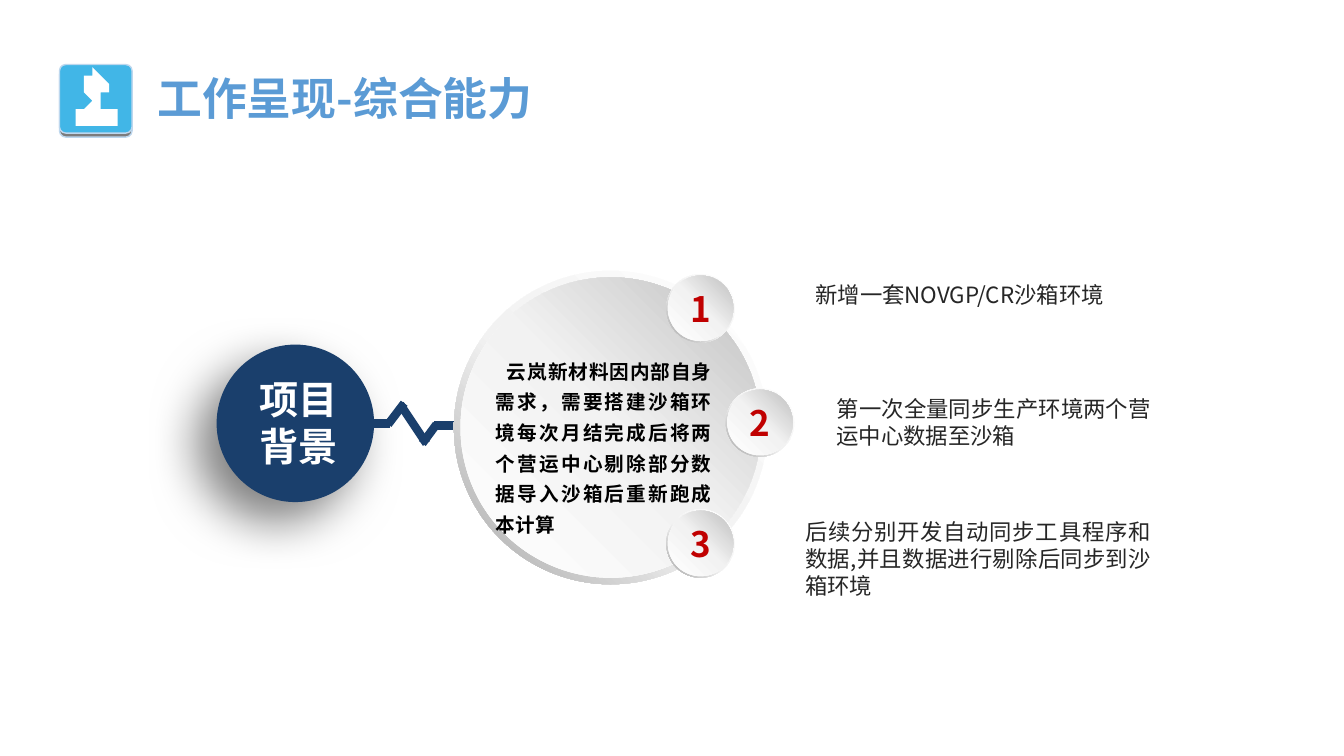
from pptx import Presentation
from pptx.dml.color import RGBColor
from pptx.enum.shapes import MSO_CONNECTOR, MSO_SHAPE
from pptx.enum.text import MSO_ANCHOR, MSO_AUTO_SIZE, PP_ALIGN
from pptx.oxml import parse_xml
from pptx.oxml.ns import nsdecls, qn
from pptx.util import Inches, Pt

COLORS = {
    "navy": "1A3F6C", "title": "5B9BD5", "number": "C00000", "note": "262626",
    "black": "000000", "white": "FFFFFF", "light": "F2F2F2", "rim": "A6A6A6",
    "face": "BFBFBF", "icon": "41B6E7", "icon_edge": "7C7C7C", "icon_line": "BDD7EE",
}
FONT = "Noto Sans CJK SC"
COLUMNS, ROWS = 160, 90
CELL = Inches(7.5) / ROWS


def cells(*values):
    """Turn grid columns or rows into slide lengths."""
    return [round(v * CELL) for v in values]


def rgb(name):
    return RGBColor.from_string(COLORS[name])


class SlideBuilder:
    """Holds the text style and the current slide."""

    def __init__(self, slide, font):
        self.s, self.font = slide, font

    def fill_text(self, shape, lines, size, color, bold=False, align=PP_ALIGN.LEFT,
                  anchor=MSO_ANCHOR.TOP, fit=MSO_AUTO_SIZE.NONE, inset=None,
                  spacing=None, indent=None):
        tf = shape.text_frame
        frame = {"word_wrap": True, "auto_size": fit, "vertical_anchor": anchor}
        if inset is not None:
            frame |= {f"margin_{side}": inset for side in ("left", "top", "right", "bottom")}
        for name, value in frame.items():
            setattr(tf, name, value)
        for i, line in enumerate(lines):
            p = tf.add_paragraph() if i else tf.paragraphs[0]
            p.alignment = align
            if spacing:
                p.line_spacing = spacing
            if indent:
                p._p.get_or_add_pPr().set("indent", str(indent))
            r = p.add_run()
            r.text = line
            for name, value in {"size": Pt(size), "bold": bold, "name": self.font}.items():
                setattr(r.font, name, value)
            r.font.color.rgb = rgb(color)
            ea = r._r.get_or_add_rPr().makeelement(qn("a:ea"), {"typeface": self.font})
            r._r.rPr.find(qn("a:latin")).addnext(ea)

    def title(self, text, box, **style):
        sp = self.s.shapes.title
        for name, value in zip(("left", "top", "width", "height"), cells(*box)):
            setattr(sp, name, value)
        self.fill_text(sp, [text], **style)

    def text(self, lines, box, **style):
        sp = self.s.shapes.add_textbox(*cells(*box))
        self.fill_text(sp, lines, inset=0, fit=MSO_AUTO_SIZE.SHAPE_TO_FIT_TEXT, **style)

    def shape(self, kind, box, fill=None, line=None, adjust=None):
        sp = self.s.shapes.add_shape(kind, *cells(*box))
        sp.shadow.inherit = False
        if fill:
            sp.fill.solid()
            sp.fill.fore_color.rgb = rgb(fill)
        if line:
            sp.line.color.rgb = rgb(line)
            sp.line.width = Pt(1)
        else:
            sp.line.fill.background()
        if adjust is not None:
            sp.adjustments[0] = adjust
        return sp

    def circle(self, x, y, diameter, kind=MSO_SHAPE.OVAL, **style):
        box = (x - diameter / 2, y - diameter / 2, diameter, diameter)
        return self.shape(kind, box, **style)

    def gradient(self, sp, stops, angle):
        gs = "".join(f'<a:gs pos="{pos * 1000}"><a:srgbClr val="{COLORS[c]}"/></a:gs>'
                     for pos, c in stops)
        sp._element.spPr.find(qn("a:prstGeom")).addnext(parse_xml(
            f'<a:gradFill {nsdecls("a")} rotWithShape="1"><a:gsLst>{gs}</a:gsLst>'
            f'<a:lin ang="{angle * 60000}" scaled="0"/></a:gradFill>'))

    def button(self, x, y, outer, inner):
        """Draw a raised disc: a shaded rim and a face lit from the other side."""
        rim = self.circle(x, y, outer, MSO_SHAPE.DONUT, adjust=0.049)
        self.gradient(rim, [(0, "white"), (55, "light"), (100, "rim")], 135)
        face = self.circle(x, y, inner)
        self.gradient(face, [(0, "white"), (51, "light"), (100, "face")], 315)
        return face

    def shadow(self, sp, color, alpha, blur, distance, angle):
        sp._element.spPr.find(qn("a:effectLst")).append(parse_xml(
            f'<a:outerShdw {nsdecls("a")} blurRad="{Pt(blur)}" dist="{Pt(distance)}" '
            f'dir="{angle * 60000}" algn="ctr" rotWithShape="0"><a:srgbClr val="{COLORS[color]}">'
            f'<a:alpha val="{alpha * 1000}"/></a:srgbClr></a:outerShdw>'))

    def line(self, ends, color, width):
        c = self.s.shapes.add_connector(MSO_CONNECTOR.STRAIGHT, *cells(*ends))
        c.line.color.rgb = rgb(color)
        c.line.width = Pt(width)
        spPr = c._element.spPr
        spPr.append(spPr.makeelement(qn("a:effectLst"), {}))

    def mirrored(self, axis, half, fill):
        """Draw an outline from its right half, given as (offset from axis, row)."""
        points = [(axis + dx, y) for dx, y in half]
        points += [(axis - dx, y) for dx, y in reversed(half)]
        fb = self.s.shapes.build_freeform(*points[0], scale=CELL)
        fb.add_line_segments(points[1:], close=True)
        sp = fb.convert_to_shape()
        sp.shadow.inherit = False
        sp.fill.solid()
        sp.fill.fore_color.rgb = rgb(fill)
        sp.line.fill.background()


PULSE = [(40.56, 50.4, 46.44, 50.4), (51.72, 50.64, 56.64, 50.64),
         (46.2, 50.52, 48.12, 48), (50.28, 52.8, 51.96, 50.52),
         (50.76, 52.8, 47.64, 48.12)]
STEPS = [
    ((83.4, 36.7), (97.08, 33.48, 36, 3.24), "新增一套NOVGP/CR沙箱环境"),
    ((90.48, 50.3), (99.6, 47.04, 37.44, 6.48), "第一次全量同步生产环境两个营运中心数据至沙箱"),
    ((83.4, 64.7), (95.88, 61.68, 41.16, 9.72),
     "后续分别开发自动同步工具程序和数据,并且数据进行剔除后同步到沙箱环境"),
]
PERSON = [(0, 8.5), (0.5, 8.58), (0.9, 8.85), (1.12, 9.2), (1.16, 9.6), (1.12, 10.18),
          (1.25, 10.35), (1.22, 10.7), (1.0, 11.05), (0.9, 11.45), (0.72, 11.75),
          (0.72, 12.4), (0.95, 12.58), (1.4, 12.8), (2.2, 13.15), (2.55, 13.36),
          (2.7, 13.6), (2.8, 14.2), (2.82, 15.1)]


def main():
    prs = Presentation()
    prs.slide_width, prs.slide_height = cells(COLUMNS, ROWS)
    page = SlideBuilder(prs.slides.add_slide(prs.slide_layouts[5]), FONT)

    page.title("工作呈现-综合能力", (17.52, 7.08, 47.64, 10.32), size=32, color="title",
               bold=True, anchor=MSO_ANCHOR.MIDDLE, spacing=0.8)

    topic = page.circle(35.16, 50.4, 18.75, fill="navy")
    page.shadow(topic, "black", alpha=50, blur=35, distance=20, angle=135)
    for ends in PULSE:
        page.line(ends, "navy", 6)
    page.button(72.7, 50.9, 37.32, 35.76)

    for number, (center, box, note) in enumerate(STEPS, 1):
        face = page.button(*center, 8.16, 7.8)
        page.fill_text(face, [str(number)], size=25, color="number", bold=True,
                       align=PP_ALIGN.CENTER, anchor=MSO_ANCHOR.MIDDLE)
        page.text([note], box, size=16, color="note", align=PP_ALIGN.JUSTIFY)

    page.text(["项目", "背景"], (24.96, 44.64, 21.12, 11.28), size=28, color="white",
              bold=True, align=PP_ALIGN.CENTER)
    page.text(["云岚新材料因内部自身需求，需要搭建沙箱环境每次月结完成后将两个营运中心"
               "剔除部分数据导入沙箱后重新跑成本计算"], (59.04, 42, 25.68, 18), size=14,
              color="black", bold=True, align=PP_ALIGN.JUSTIFY, spacing=1.3,
              indent=Inches(0.11))

    for top, fill in ((8.16, "icon_edge"), (7.68, "icon")):
        page.shape(MSO_SHAPE.ROUNDED_RECTANGLE, (7.08, top, 8.64, 8.16), fill=fill,
                   line="icon_line", adjust=0.092)
    page.mirrored(11.36, PERSON, "white")
    prs.save("out.pptx")


if __name__ == "__main__":
    main()
